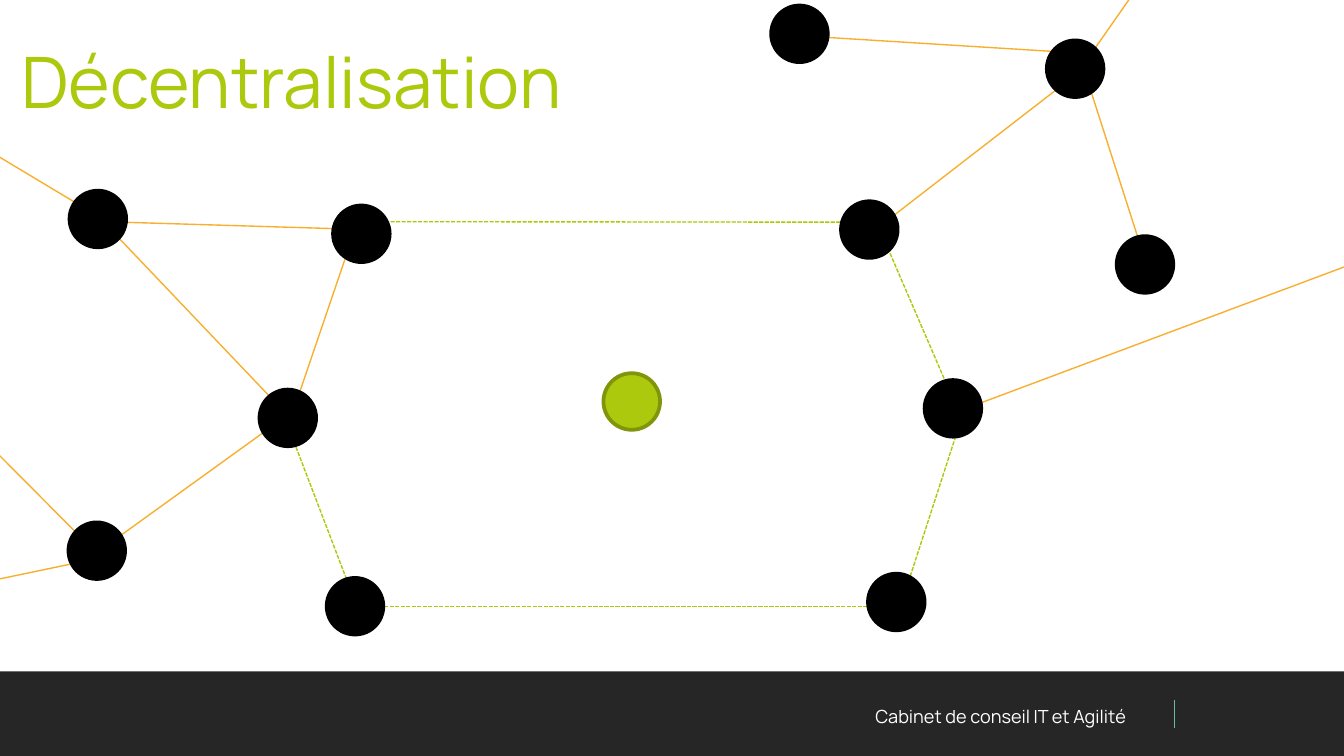
from lxml import etree
from pptx import Presentation
from pptx.dml.color import RGBColor
from pptx.enum.dml import MSO_LINE_DASH_STYLE as DASH
from pptx.enum.shapes import MSO_CONNECTOR, MSO_SHAPE
from pptx.enum.text import MSO_ANCHOR, MSO_AUTO_SIZE, PP_ALIGN
from pptx.oxml.ns import qn
from pptx.util import Cm, Pt

COLORS = {
    "footer": "262626", "footer text": "FFFFFF", "separator": "63BDA2",
    "title": "ADC90E", "existing link": "F8AF2D", "new link": "ACC909",
    "node": "000000", "center": "ADC90E", "center edge": "80950A",
}
FONT = "Manrope"
NODE_SIZE = 1.07


def add_link(x1, y1, x2, y2, color, dash=None):
    link = slide.shapes.add_connector(
        MSO_CONNECTOR.STRAIGHT, Cm(x1), Cm(y1), Cm(x2), Cm(y2))
    link.line.color.rgb = RGBColor.from_string(COLORS[color])
    link.line.width = Pt(0.75)
    if dash:
        link.line.dash_style = dash
    etree.SubElement(link._element.spPr, qn("a:effectLst"))


def add_run(paragraph, text, size, color):
    run = paragraph.add_run()
    run.text = text
    run.font.name = FONT
    run.font.size = Pt(size)
    run.font.color.rgb = RGBColor.from_string(COLORS[color])


deck = Presentation()
deck.slide_width, deck.slide_height = Cm(25.4), Cm(14.29)
slide = deck.slides.add_slide(deck.slide_layouts[5])

# Title
title = slide.shapes.title
title.left, title.top, title.width, title.height = Cm(0.15), Cm(0.58), Cm(22.73), Cm(1.4)
heading = title.text_frame
heading.auto_size = MSO_AUTO_SIZE.NONE
heading.vertical_anchor = MSO_ANCHOR.TOP
heading.margin_left = heading.margin_right = Cm(0.25)
heading.margin_top = heading.margin_bottom = Cm(0.25)
heading.paragraphs[0].alignment = PP_ALIGN.LEFT
heading.paragraphs[0].line_spacing = 0.95
add_run(heading.paragraphs[0], "Décentralisation", 38, "title")

# Footer band, caption and separator
footer = slide.shapes.add_shape(MSO_SHAPE.RECTANGLE, 0, Cm(12.69), Cm(25.4), Cm(1.6))
footer.shadow.inherit = False
footer.fill.solid()
footer.fill.fore_color.rgb = RGBColor.from_string(COLORS["footer"])
footer.line.fill.background()

caption = slide.shapes.add_textbox(Cm(13.34), Cm(13.21), Cm(8.2), Cm(0.66)).text_frame
caption.word_wrap = True
caption.paragraphs[0].alignment = PP_ALIGN.RIGHT
add_run(caption.paragraphs[0], "Cabinet de conseil IT et Agilité", 9.7, "footer text")
add_link(22.2, 13.23, 22.2, 13.77, "separator")

# Links inside each network, some running past the slide edge
existing_links = [
    (27.61, 4.22, 18.39, 7.67),
    (5.56, 7.72, 6.71, 4.34),
    (1.88, 10.41, 5.36, 7.9),
    (15.34, 0.69, 20.19, 0.99),
    (16.61, 4.29, 20.32, 1.42),
    (20.52, 1.42, 21.62, 4.85),
    (-2.46, 1.5, 2.11, 4.24),
    (1.98, 4.19, 6.93, 4.34),
    (1.98, 4.22, 5.36, 7.77),
    (-1.47, 7.14, 1.78, 10.41),
    (1.78, 10.57, -3.3, 11.63),
    (22.68, -1.93, 20.57, 1.09),
]
for ends in existing_links:
    add_link(*ends, "existing link")

# Dashed ring of new links around the center
new_links = [
    (6.86, 4.19, 16.64, 4.2),
    (16.74, 4.6, 18.03, 7.59),
    (18.19, 7.85, 17.07, 11.3),
    (17.22, 11.46, 6.71, 11.46),
    (6.81, 11.63, 5.46, 8.1),
]
for ends in new_links:
    add_link(*ends, "new link", DASH.SQUARE_DOT)

# Nodes, by center point
outer_nodes = [
    (18.01, 7.72), (16.94, 11.38), (6.71, 11.46), (15.11, 0.64),
    (21.64, 5), (16.43, 4.34), (20.32, 1.3), (1.85, 4.14),
    (1.83, 10.41), (5.44, 7.9), (6.83, 4.42),
]
nodes = [(x, y, "node", "node") for x, y in outer_nodes]
nodes.append((11.94, 7.59, "center", "center edge"))
for x, y, fill, edge in nodes:
    node = slide.shapes.add_shape(
        MSO_SHAPE.OVAL, Cm(x - NODE_SIZE / 2), Cm(y - NODE_SIZE / 2),
        Cm(NODE_SIZE), Cm(NODE_SIZE))
    node.shadow.inherit = False
    node.fill.solid()
    node.fill.fore_color.rgb = RGBColor.from_string(COLORS[fill])
    node.line.color.rgb = RGBColor.from_string(COLORS[edge])
    node.line.width = Pt(2)

deck.save("out.pptx")
